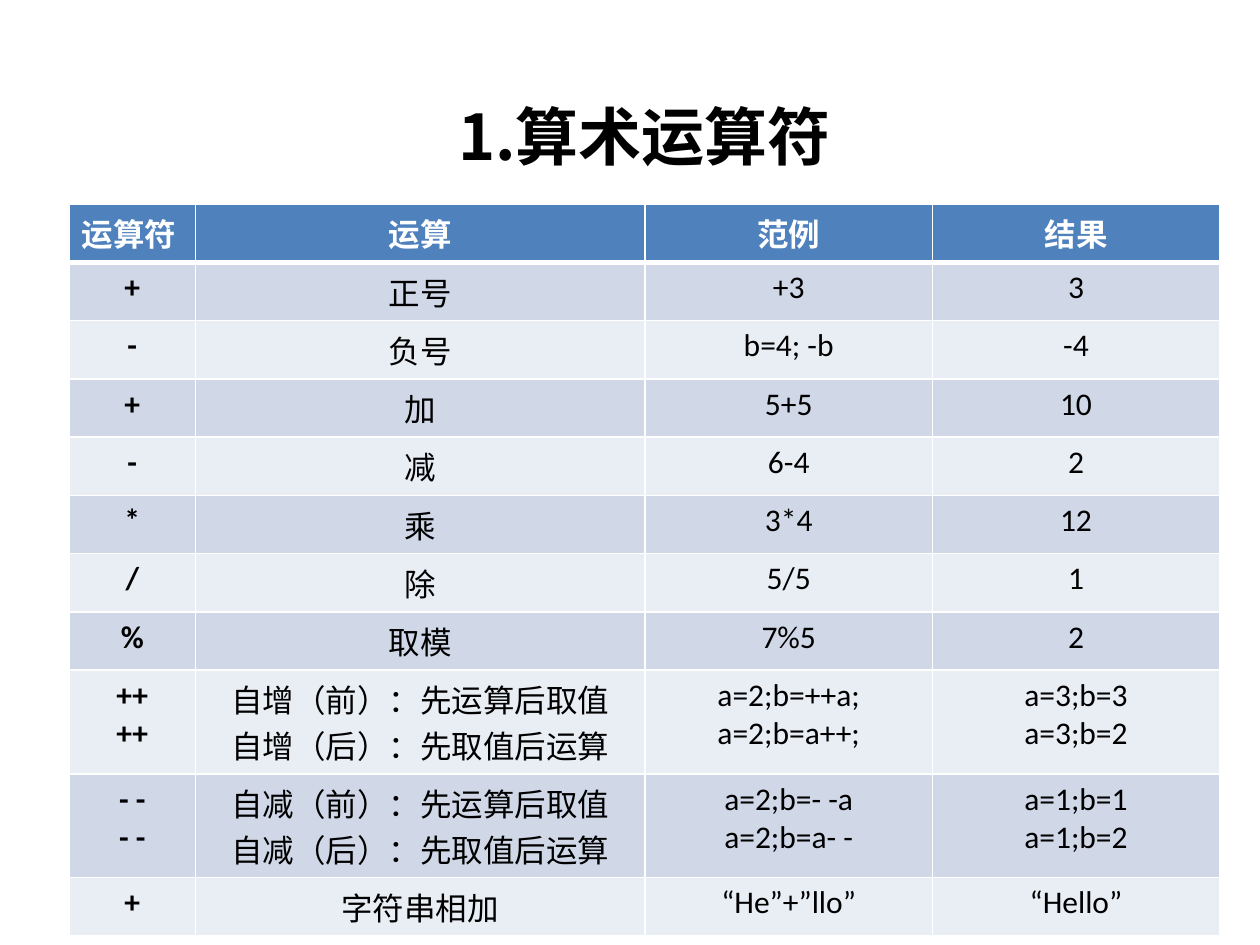
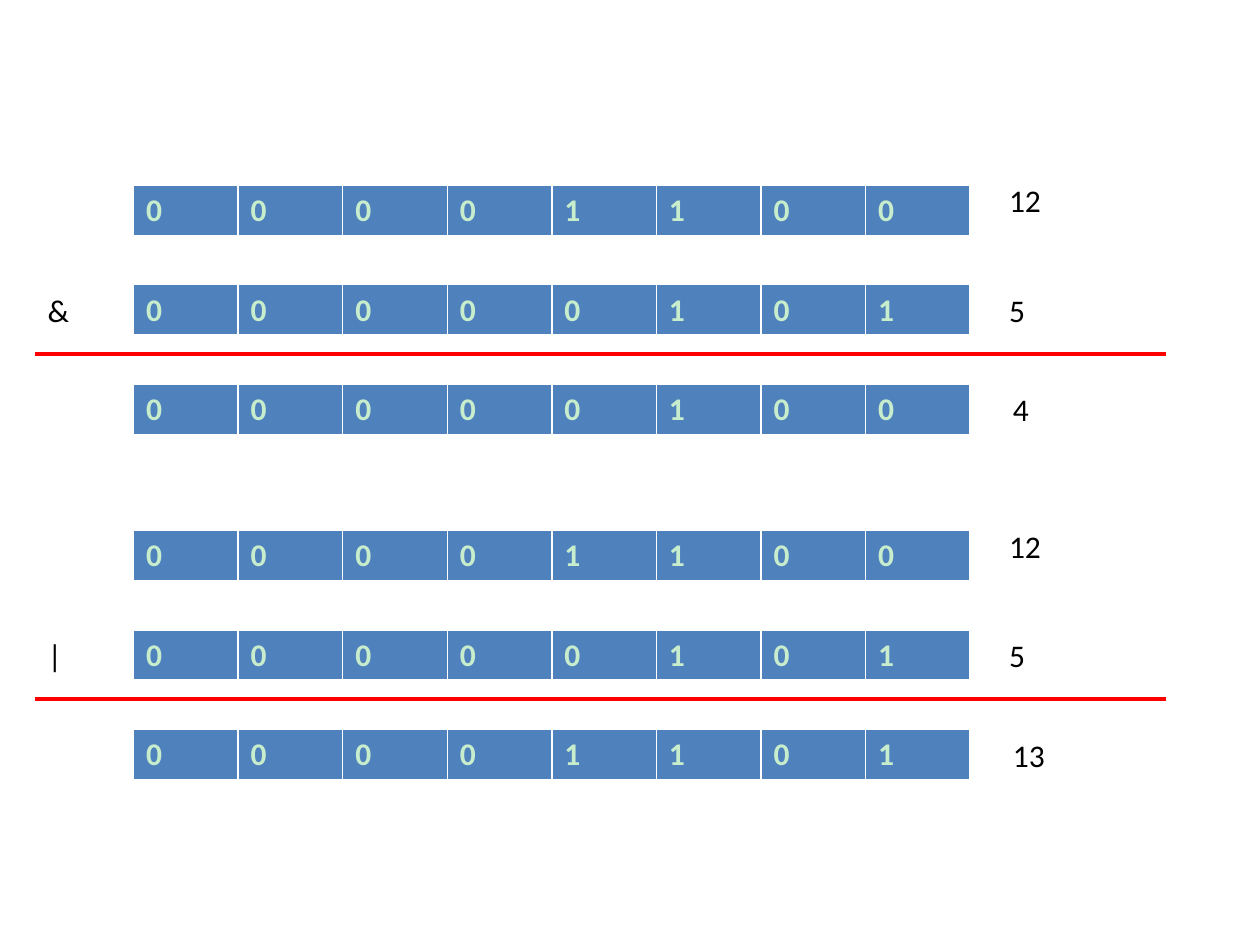
import lxml.etree
import pptx
import pptx.dml.color
import pptx.enum.shapes
import pptx.enum.text
import pptx.oxml.ns
import pptx.util

Inches, Pt = pptx.util.Inches, pptx.util.Pt
RGB = pptx.dml.color.RGBColor.from_string
ALIGN = pptx.enum.text.PP_ALIGN
qn = pptx.oxml.ns.qn

# Content
HEADINGS = ["运算符", "运算", "范例", "结果"]
OPERATORS = [
    ("+", "正号", "+3", "3"),
    ("-", "负号", "b=4; -b", "-4"),
    ("+", "加", "5+5", "10"),
    ("-", "减", "6-4", "2"),
    ("*", "乘", "3*4", "12"),
    ("/", "除", "5/5", "1"),
    ("%", "取模", "7%5", "2"),
    ("++\n++", "自增（前）：先运算后取值\n自增（后）：先取值后运算",
     "a=2;b=++a;\na=2;b=a++;", "a=3;b=3\na=3;b=2"),
    ("- -\n- -", "自减（前）：先运算后取值\n自减（后）：先取值后运算",
     "a=2;b=- -a\na=2;b=a- -", "a=1;b=1\na=1;b=2"),
    ("+", "字符串相加", "“He”+”llo”", "“Hello”"),
]
BITWISE = [("&", 12, 5, 4), ("|", 12, 5, 13)]

# Theme
THEME = {
    "paper": "FFFFFF", "header": "4F81BD", "bands": ("D0D8E8", "E9EDF4"),
    "rule": "FF0000", "rule_width": 2.25, "grid": 1, "heavy_grid": 3,
    "east_asian": "Noto Sans CJK SC",
    "title": {"name": "Noto Sans CJK SC", "size": Pt(36), "bold": True, "color": "000000"},
    "heading": {"name": "Times New Roman", "size": Pt(18), "bold": True, "color": "FFFFFF"},
    "operator": {"name": "Calibri", "size": Pt(18), "bold": True, "color": "000000"},
    "body": {"name": "Calibri", "size": Pt(18), "bold": False, "color": "000000"},
    "bit": {"name": "Calibri", "size": Pt(18), "bold": True, "color": "C7EDCC"},
}

# Layout, in inches
TITLE_BOX = (3.03, 0.6, 4.17, 0.94)
OPERATOR_TABLE = (0.55, 1.62)
COLUMN_WIDTHS = [1, 3.57, 2.28, 2.28]
LINE_ROW, DOUBLE_ROW = 0.44, 0.7
BITS, BIT_WIDTH, BIT_HEIGHT = 8, 0.83, 0.41
BITS_LEFT, OPERATOR_LEFT, RULE_RIGHT = 1.06, 0.28, 9.25
GROUP_TOP, GROUP_PITCH, BITS_PITCH, RULE_DROP = 1.47, 2.74, 0.79, 1.34
VALUE_SPOTS = [(7.91, -0.08), (7.91, 0), (7.94, 0)]  # left edge, shift from its bits


def write(frame, text, style, align):
    """Fill a text frame, one paragraph for each line."""
    frame.text = text
    for paragraph in frame.paragraphs:
        paragraph.alignment = align
        for run in paragraph.runs:
            for key, value in THEME[style].items():
                if key == "color":
                    run.font.color.rgb = RGB(value)
                else:
                    setattr(run.font, key, value)
            latin = run.font._element.find(qn("a:latin"))
            east_asian = lxml.etree.Element(qn("a:ea"), typeface=THEME["east_asian"])
            latin.addnext(east_asian)


def format_cell(cell, fill, top, bottom):
    """Draw the cell's borders, then its fill."""
    properties = cell._tc.get_or_add_tcPr()
    for side, width in zip("LRTB", (THEME["grid"], THEME["grid"], top, bottom)):
        border = lxml.etree.SubElement(properties, qn("a:ln" + side), w=str(Pt(width)))
        solid = lxml.etree.SubElement(border, qn("a:solidFill"))
        lxml.etree.SubElement(solid, qn("a:srgbClr"), val=THEME["paper"])
    cell.fill.solid()
    cell.fill.fore_color.rgb = RGB(fill)


def add_grid(slide, left, top, widths, heights):
    table = slide.shapes.add_table(
        len(heights), len(widths), Inches(left), Inches(top),
        Inches(sum(widths)), Inches(sum(heights))).table
    for column, width in zip(table.columns, widths):
        column.width = Inches(width)
    for row, height in zip(table.rows, heights):
        row.height = Inches(height)
    return table


def add_label(slide, text, left, top, width):
    label = slide.shapes.add_textbox(Inches(left), Inches(top), Inches(width), Inches(0.4))
    label.text_frame.word_wrap = True
    label.text_frame.auto_size = pptx.enum.text.MSO_AUTO_SIZE.SHAPE_TO_FIT_TEXT
    write(label.text_frame, text, "body", ALIGN.LEFT)


def add_rule(slide, top):
    rule = slide.shapes.add_connector(
        pptx.enum.shapes.MSO_CONNECTOR.STRAIGHT,
        Inches(OPERATOR_LEFT), Inches(top), Inches(RULE_RIGHT), Inches(top))
    rule.line.color.rgb = RGB(THEME["rule"])
    rule.line.width = Pt(THEME["rule_width"])
    lxml.etree.SubElement(rule._element.spPr, qn("a:effectLst"))


def add_bits(slide, number, top):
    table = add_grid(slide, BITS_LEFT, top, [BIT_WIDTH] * BITS, [BIT_HEIGHT])
    for cell, bit in zip(table.iter_cells(), f"{number:0{BITS}b}"):
        format_cell(cell, THEME["header"], THEME["grid"], THEME["heavy_grid"])
        write(cell.text_frame, bit, "bit", ALIGN.LEFT)


def arithmetic_slide(deck):
    slide = deck.slides.add_slide(deck.slide_layouts[5])
    title = slide.shapes.title
    for side, value in zip(("left", "top", "width", "height"), TITLE_BOX):
        setattr(title, side, Inches(value))
    title.text_frame.vertical_anchor = pptx.enum.text.MSO_ANCHOR.MIDDLE
    write(title.text_frame, "1.算术运算符", "title", ALIGN.CENTER)

    rows = [HEADINGS] + OPERATORS
    heights = [DOUBLE_ROW if "\n" in row[0] else LINE_ROW for row in rows]
    table = add_grid(slide, *OPERATOR_TABLE, COLUMN_WIDTHS, heights)
    for r, row in enumerate(rows):
        fill = THEME["bands"][(r - 1) % 2] if r else THEME["header"]
        top = THEME["heavy_grid" if r == 1 else "grid"]
        bottom = THEME["heavy_grid" if r == 0 else "grid"]
        for c, text in enumerate(row):
            style = "heading" if r == 0 else "operator" if c == 0 else "body"
            cell = table.cell(r, c)
            format_cell(cell, fill, top, bottom)
            write(cell.text_frame, text, style, ALIGN.CENTER if r or c else ALIGN.LEFT)


def bitwise_slide(deck):
    slide = deck.slides.add_slide(deck.slide_layouts[6])
    for group, (operator, *numbers) in enumerate(BITWISE):
        group_top = GROUP_TOP + group * GROUP_PITCH
        for line, (number, (left, shift)) in enumerate(zip(numbers, VALUE_SPOTS)):
            top = group_top + line * BITS_PITCH
            add_bits(slide, number, top)
            add_label(slide, str(number), left, top + shift, 0.79)
        add_label(slide, operator, OPERATOR_LEFT, group_top + BITS_PITCH, 0.71)
        add_rule(slide, group_top + RULE_DROP)


def main():
    deck = pptx.Presentation()
    deck.slide_width, deck.slide_height = Inches(10), Inches(7.5)
    arithmetic_slide(deck)
    bitwise_slide(deck)
    deck.save("out.pptx")


if __name__ == "__main__":
    main()
